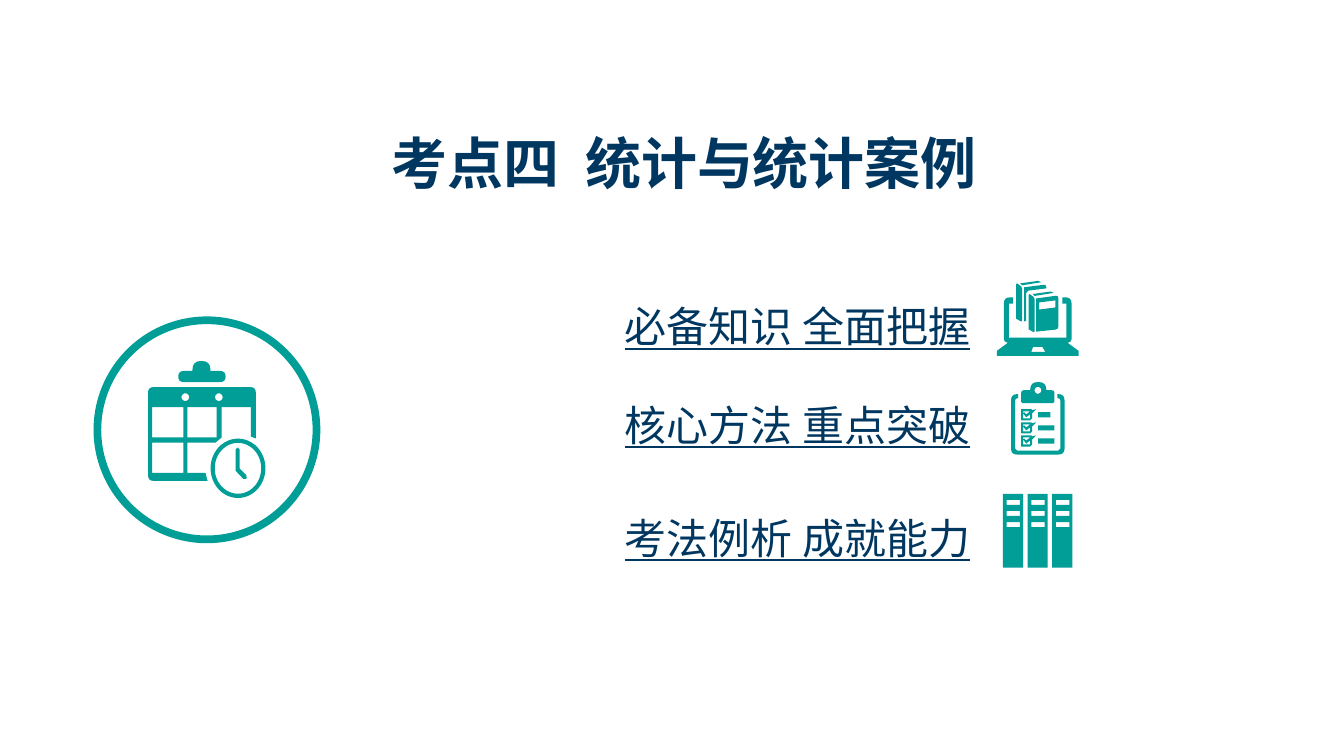
from dataclasses import dataclass
from math import cos, hypot, pi, sin
from typing import NamedTuple

from lxml import etree
from pptx import Presentation
from pptx import util as u
from pptx.dml.color import RGBColor
from pptx.enum import shapes, text
from pptx.oxml.ns import qn

COLORS = {"teal": "009E96", "navy": "003760"}
CJK_FONT = "Noto Sans CJK SC"


class Corner(NamedTuple):
    x: float
    y: float
    radius: float = 0


Contour = list[tuple[float, float]]


@dataclass
class Icon:
    left: float
    top: float
    contours: list[Contour]


@dataclass
class Ring:
    left: float
    top: float
    width: float
    height: float
    thickness: float


@dataclass
class Link:
    top: float
    label: str


# Contours: an inner contour cuts a hole in the one around it
def outline(*corners: tuple, dx: float = 0, dy: float = 0) -> Contour:
    """Closed polygon whose corners may be rounded."""
    points = []
    spots = [Corner(*corner) for corner in corners]
    for index, spot in enumerate(spots):
        if not spot.radius:
            points.append((spot.x + dx, spot.y + dy))
            continue
        ends = []
        for other in (spots[index - 1], spots[(index + 1) % len(spots)]):
            share = spot.radius / hypot(other.x - spot.x, other.y - spot.y)
            ends.append((spot.x + share * (other.x - spot.x),
                         spot.y + share * (other.y - spot.y)))
        (x1, y1), (x2, y2) = ends
        steps = 1 if spot.radius < 1.6 else 2 if spot.radius < 3 else 4
        for step in range(steps + 1):
            t = step / steps
            a, b, c = (1 - t) ** 2, 2 * t * (1 - t), t ** 2
            points.append((a * x1 + b * spot.x + c * x2 + dx,
                           a * y1 + b * spot.y + c * y2 + dy))
    return points


def rect(left: float, top: float, width: float, height: float) -> Contour:
    right, bottom = left + width, top + height
    return outline((left, top), (right, top), (right, bottom), (left, bottom))


def disc(x: float, y: float, radius: float, count: int = 10) -> Contour:
    angles = [2 * pi * i / count for i in range(count)]
    return [(x + radius * cos(a), y + radius * sin(a)) for a in angles]


# Icons
def calendar_icon() -> Icon:
    hanger = outline((21.6, 7.2, 3.9), (31.7, 7.2), (31.7, 0, 6.4), (44.6, 0, 6.4),
                     (44.6, 7.2), (55.4, 7.2, 3.9), (55.4, 15.1, 3.9), (21.6, 15.1, 3.9))
    sheet = outline((0, 18.7, 4), (77, 18.7, 4), (77, 55.4), (73.4, 54), (73.4, 33.1),
                    (52.6, 33.1), (52.6, 54.7), (48.2, 58.3), (28.1, 58.3),
                    (28.1, 79.9), (41, 79.9), (42.5, 85.7), (0, 85.7, 4))
    cells = [rect(x, y, w, 21.6) for x, y, w in
             ((2.9, 33.1, 22.3), (2.9, 58.3, 22.3), (28.1, 33.1, 20.9))]
    holes = [disc(x, 25.9, 2.8) for x in (26.6, 50.6)]
    hands = outline((62.6, 61.9, 1.4), (65.5, 61.9, 1.4), (65.5, 77),
                    (71.3, 82.8, 1.4), (69, 85.3, 1.4), (62.6, 78.5))
    return Icon(105.8, 257.8, [hanger, sheet, *cells, *holes, hands])


def laptop_icon() -> Icon:
    computer = outline((8.6, 16.6), (11.5, 16.6), (11.5, 12.2), (5, 12.2, 4.3),
                       (5, 43.9, 2), (7.9, 44.6), (0, 50.4), (0, 54), (58.3, 54),
                       (58.3, 50.4), (50.4, 44.6), (53.3, 43.9, 2), (53.3, 12.2, 4.3),
                       (46.8, 12.2), (46.8, 16.6), (49.7, 16.6), (49.7, 41), (8.6, 41))
    touchpad = outline((25.9, 47.5), (32.4, 47.5), (34.6, 51.1), (24.5, 51.1))
    books = []
    for dx, dy in ((0, 0), (8.9, 7.6)):
        books.append(outline((16.6, 2.2), (18, 3.6), (31.7, 1.4), (29.5, 0.4), dx=dx, dy=dy))
        books.append(outline((14.4, 2.2), (17.3, 4.3), (18, 5.8), (18, 28.8), (17.3, 29.5),
                             (13.7, 27.4), (13.7, 2.9), dx=dx, dy=dy))
    back_cover = outline((19.4, 5), (35.3, 3, 2), (35.3, 5.8), (20.9, 7.6, 1.5),
                         (20.9, 28.8), (19.4, 29.5))
    front_cover = outline((28.1, 13), (43.9, 10.8, 2), (43.9, 35, 2), (28.1, 36.7))
    label = outline((30.2, 15.8), (41.8, 14.4), (41.8, 19.4), (30.2, 20.9))
    return Icon(712.1, 200.2, [computer, touchpad, *books, back_cover, front_cover, label])


def checklist_icon() -> Icon:
    board = outline((2.9, 11.5, 2), (5, 11.5), (5, 8.6), (0, 8.6, 4.5), (0, 51.8, 4.3),
                    (38.2, 51.8, 4.3), (38.2, 8.6, 4.5), (33.1, 8.6), (33.1, 11.5),
                    (35.3, 11.5, 2), (35.3, 49, 1.5), (2.9, 49, 1.5))
    clip = outline((7.2, 5.8, 2), (13.7, 5.8), (13.7, 0, 5.5), (25.2, 0, 5.5),
                   (25.2, 5.8), (31, 5.8, 2), (31, 15.1, 1), (7.2, 15.1, 1))
    contours = [board, clip, disc(19.2, 5.9, 2.5)]
    for row, bar_width in enumerate((8.6, 11.5, 11.5)):
        dy = row * 9.36
        contours.append(outline((7.2, 19.4), (14.4, 19.4), (15.1, 20.1), (18, 19.4),
                                (15.1, 22.3), (15.1, 27.4, 1.5), (7.2, 27.4), dy=dy))
        contours.append(outline((8.6, 20.9), (13.7, 20.9), (10.8, 23), (9.4, 21.6),
                                (8.6, 22.3), (10.8, 25.2), (13.7, 23), (13.7, 25.9),
                                (8.6, 25.9), dy=dy))
        contours.append(rect(19.4, 21.6 + dy, bar_width, 3.6))
    return Icon(722.2, 272.9, contours)


def binders_icon() -> Icon:
    contours = []
    for column in range(3):
        left = column * 17.6
        contours.append(rect(left, 0, 14.4, 52.6))
        contours += [rect(left + 2.7, 4.3 + row * 7.9, 9.5, 3.6) for row in range(3)]
    return Icon(716.4, 352.8, contours)


def paint(shape) -> None:
    shape.shadow.inherit = False
    shape.fill.solid()
    shape.fill.fore_color.rgb = RGBColor.from_string(COLORS["teal"])
    shape.line.fill.background()


def draw_icon(page, icon: Icon) -> None:
    builder = None
    for contour in icon.contours:
        points = [(u.Pt(icon.left + x), u.Pt(icon.top + y)) for x, y in contour]
        if builder is None:
            builder = page.shapes.build_freeform(*points[0])
        else:
            builder.move_to(*points[0])
        builder.add_line_segments(points[1:], close=True)
    paint(builder.convert_to_shape())


def draw_ring(page, ring: Ring) -> None:
    shape = page.shapes.add_shape(shapes.MSO_SHAPE.DONUT, u.Pt(ring.left), u.Pt(ring.top),
                                  u.Pt(ring.width), u.Pt(ring.height))
    shape.adjustments[0] = ring.thickness / min(ring.width, ring.height)
    paint(shape)


# Text
def add_text(page, words: str, *, left: float, top: float, width: float, height: float,
             size: float, font: str = CJK_FONT, bold: bool = False,
             underline: bool = False, wrap: bool = False, align=text.PP_ALIGN.LEFT) -> None:
    box = page.shapes.add_textbox(u.Pt(left), u.Pt(top), u.Pt(width), u.Pt(height))
    frame = box.text_frame
    frame.word_wrap = wrap
    frame.auto_size = text.MSO_AUTO_SIZE.SHAPE_TO_FIT_TEXT
    para = frame.paragraphs[0]
    para.alignment = align
    span = para.add_run()
    span.text = words
    span.font.name = font
    span.font.size = u.Pt(size)
    span.font.bold = bold
    span.font.underline = underline
    span.font.color.rgb = RGBColor.from_string(COLORS["navy"])
    etree.SubElement(span._r.get_or_add_rPr(), qn("a:ea"), typeface=CJK_FONT)


RINGS = [Ring(66.8, 226, 162, 162, 5.5), Ring(150.4, 313.3, 39.2, 42.4, 3)]
LINKS = [
    Link(211, "必备知识 全面把握"),
    Link(281.5, "核心方法 重点突破"),
    Link(362.2, "考法例析 成就能力"),
]


def main() -> None:
    deck = Presentation()
    deck.slide_width, deck.slide_height = u.Pt(960), u.Pt(540)
    page = deck.slides.add_slide(deck.slide_layouts[6])
    add_text(page, "考点四  统计与统计案例", left=37.4, top=88.6, width=902.9, height=55.4,
             size=40, font="Arial", bold=True, wrap=True, align=text.PP_ALIGN.CENTER)
    for link in LINKS:
        add_text(page, link.label, left=439.2, top=link.top, width=265.7, height=43.9,
                 size=30, underline=True)
    for ring in RINGS:
        draw_ring(page, ring)
    for icon in (calendar_icon(), laptop_icon(), checklist_icon(), binders_icon()):
        draw_icon(page, icon)
    deck.save("out.pptx")


if __name__ == "__main__":
    main()
